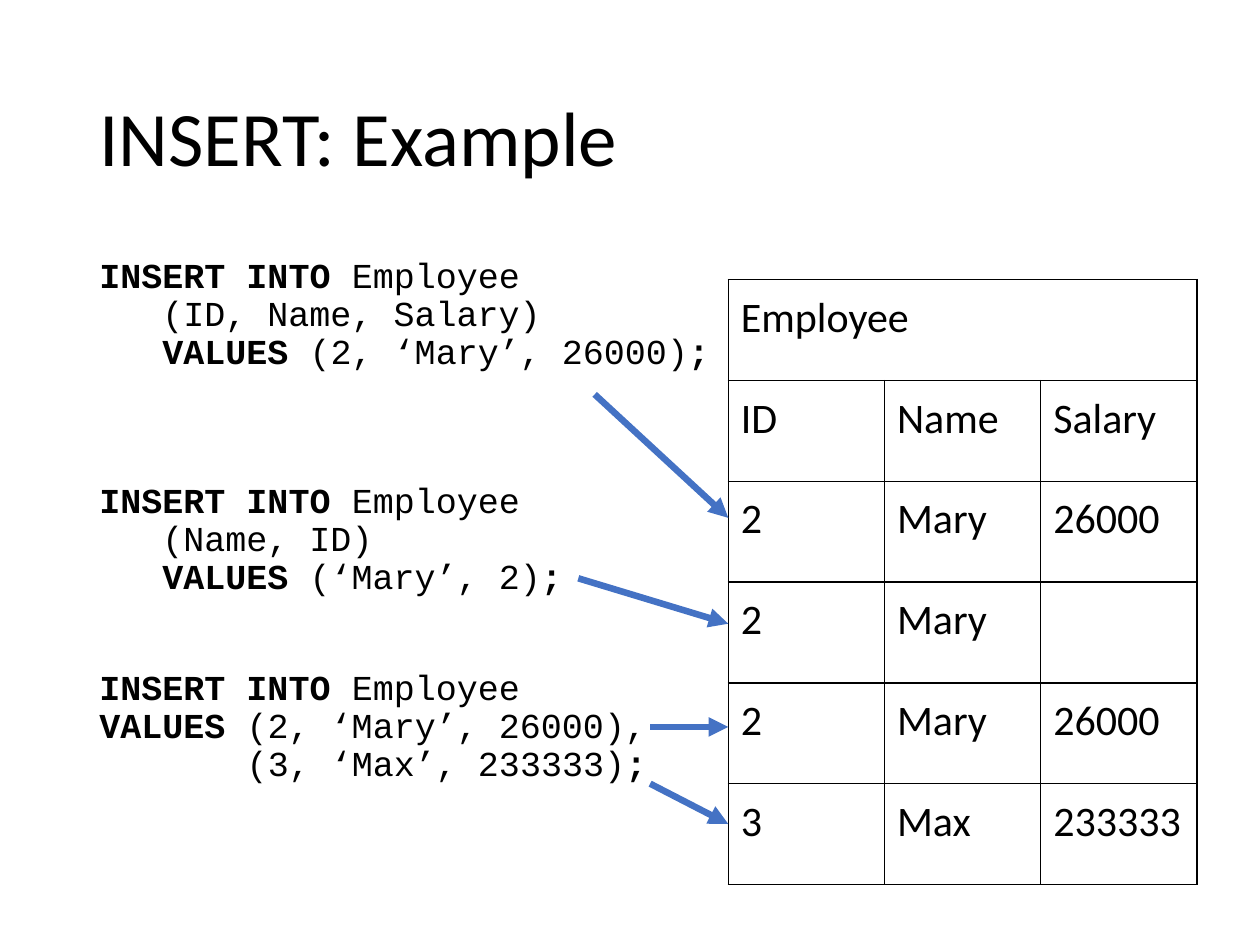
from lxml import etree
from pptx import Presentation
from pptx.dml.color import RGBColor
from pptx.enum.shapes import MSO_CONNECTOR
from pptx.enum.text import MSO_ANCHOR
from pptx.oxml.ns import qn
from pptx.util import Inches, Pt

STRAIGHT = MSO_CONNECTOR.STRAIGHT
MIDDLE = MSO_ANCHOR.MIDDLE
TOP = MSO_ANCHOR.TOP
BLACK = "000000"
BLUE = "4472C4"

TITLE = "INSERT: Example"
INSERT = [("INSERT INTO ", True), ("Employee", False)]
STATEMENTS = [
    (0, [
        (0, INSERT),
        (0.5, [("(ID, Name, Salary)", False)]),
        (0.5, [("VALUES ", True), ("(2, ‘Mary’, 26000)", False), (";", True)]),
    ]),
    (64, [
        (0, INSERT),
        (0.5, [("(Name, ID)", False)]),
        (0.5, [("VALUES ", True), ("(‘Mary’, 2)", False), (";", True)]),
    ]),
    (42, [
        (0, INSERT),
        (0, [("VALUES ", True), ("(2, ‘Mary’, 26000),", False)]),
        (1.17, [("(3, ‘Max’, 233333)", False), (";", True)]),
    ]),
]
EMPLOYEES = [
    ("Employee", "", ""),
    ("ID", "Name", "Salary"),
    ("2", "Mary", "26000"),
    ("2", "Mary", ""),
    ("2", "Mary", "26000"),
    ("3", "Max", "233333"),
]
TABLE_LEFT, TABLE_TOP = 5.78, 2.22
COLUMN_WIDTH, ROW_HEIGHT = 1.24, 0.8
ARROWS = [
    (4.72, 3.13, 4.11),
    (4.59, 4.59, 4.95),
    (5.16, 5.77, 5.77),
    (5.16, 6.22, 6.54),
]


def color(value):
    return RGBColor.from_string(value)


def add_run(paragraph, text, size, font_name, bold=False):
    run = paragraph.add_run()
    run.text = text
    run.font.size = Pt(size)
    run.font.name = font_name
    run.font.bold = bold
    run.font.color.rgb = color(BLACK)


def add_text_frame(slide, left, top, width, height, anchor):
    box = slide.shapes.add_textbox(Inches(left), Inches(top), Inches(width), Inches(height))
    box.text_frame.word_wrap = True
    box.text_frame.vertical_anchor = anchor
    return box.text_frame


def add_title(slide):
    paragraph = add_text_frame(slide, 0.69, 0.4, 8.62, 1.45, MIDDLE).paragraphs[0]
    paragraph.line_spacing = 0.9
    add_run(paragraph, TITLE, 44, "Calibri")


def add_statements(slide):
    frame = add_text_frame(slide, 0.69, 2, 5.1, 4.76, TOP)
    paragraph = frame.paragraphs[0]
    for gap, lines in STATEMENTS:
        for number, (indent, runs) in enumerate(lines):
            if gap or number:
                paragraph = frame.add_paragraph()
            paragraph.line_spacing = 0.9
            paragraph.space_before = Pt(0 if number else gap)
            paragraph._p.get_or_add_pPr().set("indent", str(Inches(indent)))
            for text, bold in runs:
                add_run(paragraph, text, 20, "Courier New", bold)


def add_borders(cell):
    properties = cell._tc.get_or_add_tcPr()
    for position, side in enumerate(("a:lnL", "a:lnR", "a:lnT", "a:lnB")):
        line = etree.Element(qn(side), w=str(Pt(1)))
        fill = etree.SubElement(line, qn("a:solidFill"))
        etree.SubElement(fill, qn("a:srgbClr"), val=BLACK)
        properties.insert(position, line)


def add_employee_table(slide):
    rows, columns = len(EMPLOYEES), len(EMPLOYEES[0])
    table = slide.shapes.add_table(
        rows, columns, Inches(TABLE_LEFT), Inches(TABLE_TOP),
        Inches(columns * COLUMN_WIDTH), Inches(rows * ROW_HEIGHT)).table
    table.first_row = table.horz_banding = False
    for row, values in enumerate(EMPLOYEES):
        for column, value in enumerate(values):
            cell = table.cell(row, column)
            cell.fill.background()
            cell.margin_left = cell.margin_right = Inches(0.1)
            cell.margin_top = cell.margin_bottom = Inches(0.1)
            add_borders(cell)
            if value:
                add_run(cell.text_frame.paragraphs[0], value, 24, "Calibri")
    table.cell(0, 0).merge(table.cell(0, columns - 1))


def add_arrow(slide, left, start, end):
    arrow = slide.shapes.add_connector(
        STRAIGHT, Inches(left), Inches(start), Inches(TABLE_LEFT), Inches(end))
    arrow.line.color.rgb = color(BLUE)
    arrow.line.width = Pt(3.75)
    etree.SubElement(arrow.line._get_or_add_ln(), qn("a:tailEnd"), type="triangle")
    etree.SubElement(arrow._element.spPr, qn("a:effectLst"))


def main():
    presentation = Presentation()
    presentation.slide_width, presentation.slide_height = Inches(10), Inches(7.5)
    slide = presentation.slides.add_slide(presentation.slide_layouts[6])
    add_title(slide)
    add_statements(slide)
    add_employee_table(slide)
    for arrow in ARROWS:
        add_arrow(slide, *arrow)
    presentation.save("out.pptx")


if __name__ == "__main__":
    main()
